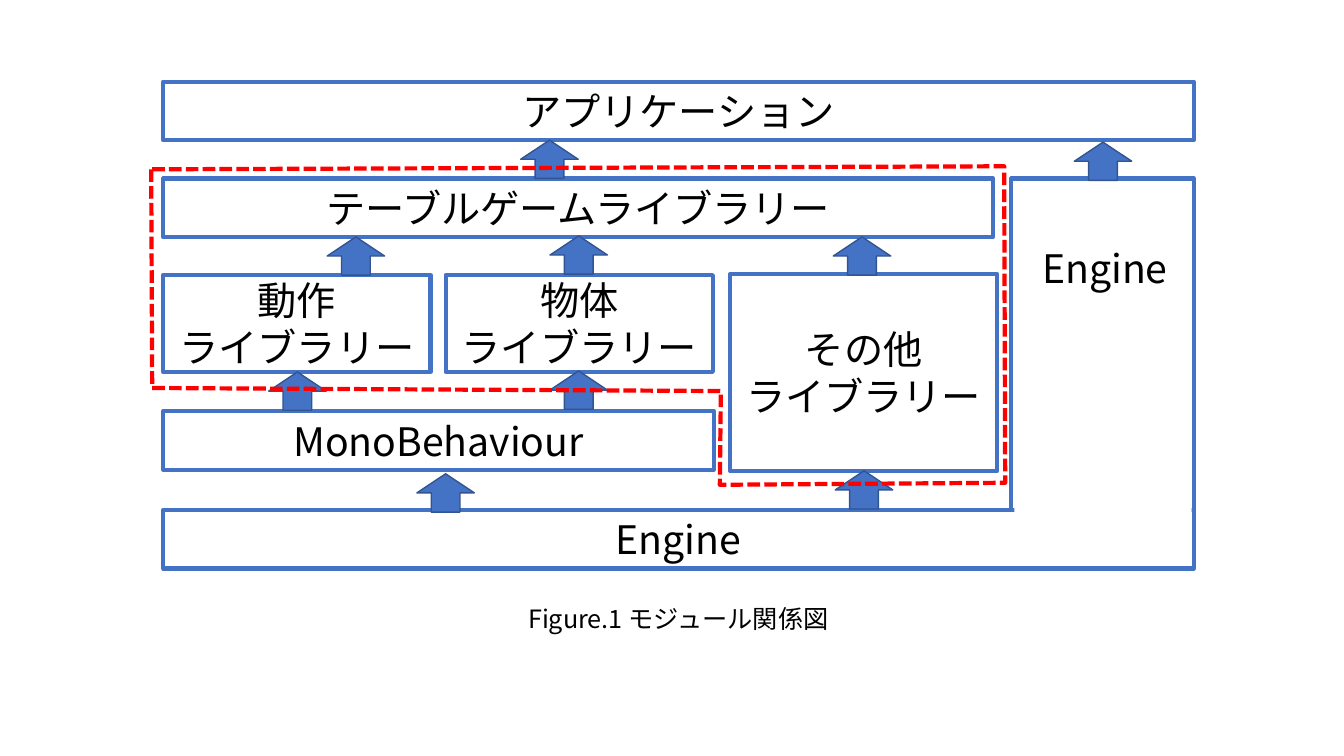
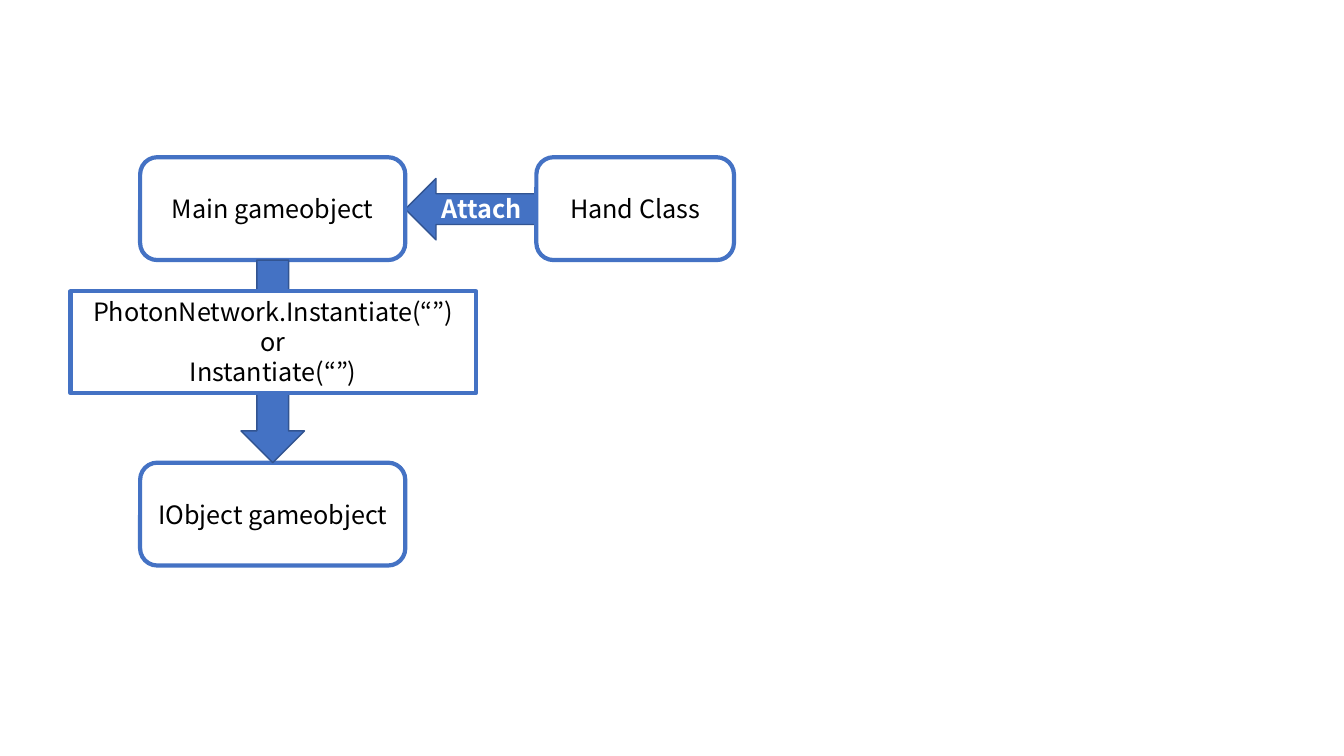
from dataclasses import dataclass

from lxml import etree
from pptx import Presentation
from pptx.dml.color import RGBColor
from pptx.enum.dml import MSO_LINE
from pptx.enum.shapes import MSO_SHAPE
from pptx.enum.text import MSO_ANCHOR, PP_ALIGN
from pptx.oxml.ns import qn
from pptx.shapes.autoshape import Shape
from pptx.slide import Slide
from pptx.util import Inches, Pt

RECTANGLE = MSO_SHAPE.RECTANGLE
ROUNDED = MSO_SHAPE.ROUNDED_RECTANGLE
UP_ARROW = MSO_SHAPE.UP_ARROW
DOWN_ARROW = MSO_SHAPE.DOWN_ARROW
LEFT_ARROW = MSO_SHAPE.LEFT_ARROW
DASHED = MSO_LINE.SQUARE_DOT
LEFT, CENTER = PP_ALIGN.LEFT, PP_ALIGN.CENTER
TOP, MIDDLE = MSO_ANCHOR.TOP, MSO_ANCHOR.MIDDLE

FONT = "Noto Sans CJK JP"
BLUE, DARK_BLUE, RED = "4472C4", "325491", "FF0000"
BLACK, WHITE = "000000", "FFFFFF"
BOX_LINE, ARROW_LINE = 3, 1
LARGE, SMALL = 28, 18
BLANK_LAYOUT = 6

MARGIN, FULL_WIDTH = 1.62, 10.22
BAR_HEIGHT, MODULE_WIDTH, MODULE_HEIGHT = 0.58, 2.65, 0.96
ARROW_WIDTH, ARROW_HEIGHT = 0.57, 0.38


@dataclass(frozen=True)
class Box:
    left: float
    top: float
    width: float
    height: float
    lines: tuple[str, ...] = ()
    size: int = LARGE
    geometry: MSO_SHAPE = RECTANGLE
    fill: str | None = None
    anchor: MSO_ANCHOR = MIDDLE


@dataclass(frozen=True)
class UpArrow:
    center: float
    top: float


MODULE_BOXES = (
    Box(MARGIN, 0.81, FULL_WIDTH, BAR_HEIGHT, ("アプリケーション",)),
    Box(MARGIN, 1.77, 8.23, BAR_HEIGHT, ("テーブルゲームライブラリー",)),
    Box(MARGIN, 2.73, MODULE_WIDTH, MODULE_HEIGHT, ("動作", "ライブラリー")),
    Box(4.42, 2.73, MODULE_WIDTH, MODULE_HEIGHT, ("物体", "ライブラリー")),
    Box(7.24, 2.72, MODULE_WIDTH, 1.95, ("その他", "ライブラリー")),
    Box(MARGIN, 4.08, 5.46, BAR_HEIGHT, ("MonoBehaviour",)),
    Box(MARGIN, 5.06, FULL_WIDTH, BAR_HEIGHT, ("Engine",)),
    Box(10.03, 1.77, 1.81, 3.29),
)
MODULE_ARROWS = (
    UpArrow(5.45, 1.39), UpArrow(10.94, 1.41),
    UpArrow(3.53, 2.35), UpArrow(5.74, 2.34), UpArrow(8.55, 2.35),
    UpArrow(2.95, 3.69), UpArrow(5.74, 3.68),
    UpArrow(4.42, 4.7), UpArrow(8.57, 4.67),
)
LIBRARY_OUTLINE = (
    (1.5, 1.68), (1.51, 3.85), (7.15, 3.88),
    (7.14, 4.81), (9.97, 4.79), (9.96, 1.65),
)

MAIN_OBJECT = Box(1.39, 1.56, 2.63, 1.02, ("Main gameobject",), SMALL, ROUNDED, WHITE)
HAND_CLASS = Box(5.32, 1.56, 1.96, 1.02, ("Hand Class",), SMALL, ROUNDED)
CREATED_OBJECT = Box(1.39, 4.59, 2.63, 1.02, ("IObject gameobject",), SMALL, ROUNDED, WHITE)
CALLS = Box(0.7, 2.89, 4.02, 1.01,
            ("PhotonNetwork.Instantiate(“”)", "or", "Instantiate(“”)"),
            SMALL, RECTANGLE, WHITE, TOP)


def color(value: str) -> RGBColor:
    return RGBColor.from_string(value)


def style_shape(shape: Shape, fill: str | None, line: str | None, width: float = 0) -> None:
    shape.shadow.inherit = False
    if fill:
        shape.fill.solid()
        shape.fill.fore_color.rgb = color(fill)
    else:
        shape.fill.background()
    if line:
        shape.line.color.rgb = color(line)
        shape.line.width = Pt(width)
    else:
        shape.line.fill.background()


def write_lines(shape: Shape, lines: tuple[str, ...], size: int, alignment: PP_ALIGN,
                text_color: str = BLACK, bold: bool = False) -> None:
    frame = shape.text_frame
    frame.word_wrap = True
    for index, line in enumerate(lines):
        paragraph = frame.add_paragraph() if index else frame.paragraphs[0]
        paragraph.alignment = alignment
        run = paragraph.add_run()
        run.text = line
        run.font.size = Pt(size)
        run.font.bold = bold
        run.font.color.rgb = color(text_color)
        run.font.name = FONT
        east_asian = etree.SubElement(run.font._element, qn("a:ea"))
        east_asian.set("typeface", FONT)


def add_preset(slide: Slide, geometry: MSO_SHAPE, left: float, top: float,
               width: float, height: float) -> Shape:
    return slide.shapes.add_shape(
        geometry, Inches(left), Inches(top), Inches(width), Inches(height))


def add_box(slide: Slide, box: Box) -> None:
    shape = add_preset(slide, box.geometry, box.left, box.top, box.width, box.height)
    style_shape(shape, box.fill, BLUE, BOX_LINE)
    shape.text_frame.vertical_anchor = box.anchor
    write_lines(shape, box.lines, box.size, CENTER)


def add_arrow(slide: Slide, geometry: MSO_SHAPE, left: float, top: float,
              width: float, height: float) -> None:
    shape = add_preset(slide, geometry, left, top, width, height)
    style_shape(shape, BLUE, DARK_BLUE, ARROW_LINE)


def add_label(slide: Slide, text: str, left: float, top: float, width: float, height: float,
              size: int = SMALL, text_color: str = BLACK, bold: bool = False) -> None:
    shape = slide.shapes.add_textbox(
        Inches(left), Inches(top), Inches(width), Inches(height))
    write_lines(shape, (text,), size, LEFT, text_color, bold)


def add_library_outline(slide: Slide) -> None:
    start, *others = [(Inches(x), Inches(y)) for x, y in LIBRARY_OUTLINE]
    builder = slide.shapes.build_freeform(*start)
    builder.add_line_segments(others, close=True)
    outline = builder.convert_to_shape()
    style_shape(outline, None, RED, BOX_LINE)
    outline.line.dash_style = DASHED


def build_module_slide(slide: Slide) -> None:
    for box in MODULE_BOXES:
        add_box(slide, box)
    for arrow in MODULE_ARROWS:
        add_arrow(slide, UP_ARROW, arrow.center - ARROW_WIDTH / 2, arrow.top,
                  ARROW_WIDTH, ARROW_HEIGHT)
    engine_joint = add_preset(slide, RECTANGLE, 10.06, 3.95, 1.76, 1.25)
    style_shape(engine_joint, WHITE, None)
    add_label(slide, "Engine", 10.24, 2.37, 1.5, 0.57, LARGE)
    add_library_outline(slide)
    add_label(slide, "Figure.1 モジュール関係図", 5.14, 5.94, 3.4, 0.4)


def build_object_slide(slide: Slide) -> None:
    add_box(slide, CREATED_OBJECT)
    main_right = MAIN_OBJECT.left + MAIN_OBJECT.width
    add_arrow(slide, LEFT_ARROW, main_right, 1.77, HAND_CLASS.left - main_right, 0.61)
    add_box(slide, HAND_CLASS)
    add_box(slide, MAIN_OBJECT)
    main_bottom = MAIN_OBJECT.top + MAIN_OBJECT.height
    add_arrow(slide, DOWN_ARROW, 2.39, main_bottom, 0.63, CREATED_OBJECT.top - main_bottom)
    add_box(slide, CALLS)
    add_label(slide, "Attach", 4.28, 1.87, 1.04, 0.4, text_color=WHITE, bold=True)


def main() -> None:
    presentation = Presentation()
    presentation.slide_width = Inches(13.33)
    presentation.slide_height = Inches(7.5)
    for build_slide in (build_module_slide, build_object_slide):
        build_slide(presentation.slides.add_slide(presentation.slide_layouts[BLANK_LAYOUT]))
    presentation.save("out.pptx")


if __name__ == "__main__":
    main()
